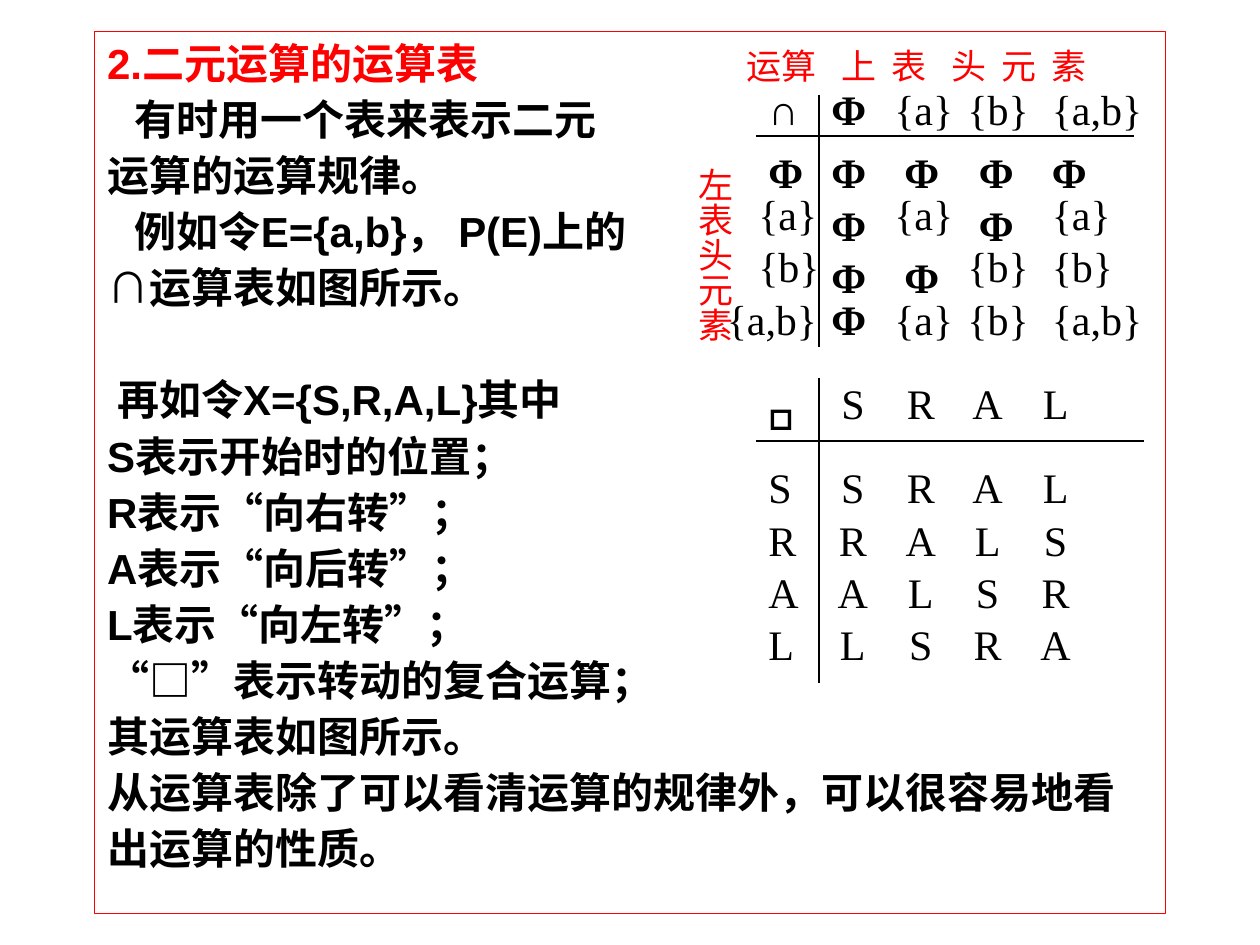
from pptx import Presentation
from pptx.dml.color import RGBColor
from pptx.enum.shapes import MSO_CONNECTOR
from pptx.enum.text import MSO_ANCHOR, MSO_AUTO_SIZE, PP_ALIGN
from pptx.oxml.ns import qn
from pptx.util import Inches, Pt
from lxml.etree import SubElement

COLORS = {"red": "FF0000", "ink": "000000"}
SERIF, SANS, CJK = "Times New Roman", "Arial", "Noto Sans CJK SC"


def write(para, text, size=24, font=SERIF, color="ink", bold=False):
    run = para.add_run()
    run.text = text
    run.font.size = Pt(size)
    run.font.name = font
    run.font.bold = bold
    run.font.color.rgb = RGBColor.from_string(COLORS[color])
    SubElement(run.font._element, qn("a:ea"), typeface=CJK)


class Page:
    def __init__(self, deck):
        self.slide = deck.slides.add_slide(deck.slide_layouts[1])
        title = self.slide.shapes.title._element
        title.getparent().remove(title)

    def body(self, x, y, w, h, lines):
        box = self.slide.placeholders[1]
        box.left, box.top, box.width, box.height = map(Inches, (x, y, w, h))
        box.line.color.rgb = RGBColor.from_string(COLORS["red"])
        box.line.width = Pt(0.75)
        frame = box.text_frame
        frame.auto_size = MSO_AUTO_SIZE.NONE
        frame.vertical_anchor = MSO_ANCHOR.TOP
        frame.margin_top = Inches(0.09)
        for i, (runs, indent, gap) in enumerate(lines):
            para = frame.paragraphs[0] if i == 0 else frame.add_paragraph()
            props = para._p.get_or_add_pPr()
            props.set("marL", "0")
            props.set("indent", str(Inches(indent)))
            SubElement(props, qn("a:buNone"))
            para.alignment = PP_ALIGN.LEFT
            para.line_spacing = Pt(26)
            para.space_before = Pt(gap)
            for text, style in runs:
                write(para, text, **{"font": SANS, "bold": True, **style})

    def text(self, x, y, w, h, text, stops=(), align="l", top=0.08,
             vert=False, **style):
        box = self.slide.shapes.add_textbox(*map(Inches, (x, y, w, h)))
        frame = box.text_frame
        frame.word_wrap = True
        frame.margin_top = Inches(top)
        para = frame.paragraphs[0]
        if vert:
            frame._txBody.bodyPr.set("vert", "eaVert")
            frame.margin_left = frame.margin_right = Inches(0.05)
            frame.margin_bottom = Inches(0.1)
        if stops:
            tabs = SubElement(para._p.get_or_add_pPr(), qn("a:tabLst"))
            for stop in stops:
                pos = Inches(round(stop - x - 0.1, 2))
                SubElement(tabs, qn("a:tab"), pos=str(pos), algn=align)
        write(para, text, **style)

    def rule(self, *ends):
        line = self.slide.shapes.add_connector(
            MSO_CONNECTOR.STRAIGHT, *map(Inches, ends))
        line.line.color.rgb = RGBColor.from_string(COLORS["ink"])
        line.line.width = Pt(0.75)
        SubElement(line._element.spPr, qn("a:effectLst"))


def plain(text, indent=0, gap=6):
    return [(text, {})], indent, gap


def turns(page):
    page.rule(6, 3.5, 9.08, 3.5)
    page.rule(6.5, 3, 6.5, 5.42)
    page.text(6, 3, 0.58, 0.5, "□", font="Calibri", bold=True)
    moves = "SRAL"
    cols = [6.77, 7.31, 7.84, 8.38]
    page.text(6.58, 2.92, 2.42, 0.5, "\t".join(moves), cols[1:], "ctr")
    for i, y in enumerate([3.58, 4, 4.42, 4.83]):
        row = moves[i] + moves[i:] + moves[:i]
        page.text(6, y, 2.83, 0.5, "\t".join(row), cols, "ctr")


def meets(page):
    page.rule(6, 1.08, 9, 1.08)
    page.rule(6.5, 0.75, 6.5, 2.75)
    page.text(6, 0.58, 0.5, 0.5, "∩")
    sets = ["", "a", "b", "ab"]
    # Header row and column come first; sets sit apart from the empty set
    phi_x, phi_y = [6, 6.5, 7.08, 7.67, 8.25], [0.58, 1.08, 1.5, 1.92, 2.25]
    set_x, set_y = [5.92, 6.5, 7, 7.58, 8.25], [0.58, 1, 1.42, 1.83, 2.25]
    for i, left in enumerate(["ab"] + sets):
        for j, head in enumerate(["ab"] + sets):
            if i == j == 0:
                continue
            both = [c for c in left if c in head]
            if not both:
                page.text(phi_x[j], phi_y[i], 0.58, 0.5, "Φ", bold=True)
                continue
            pair = len(both) == 2
            x = 5.67 if pair and j == 0 else set_x[j]
            page.text(x, set_y[i], 1 if pair else 0.83, 0.5,
                      "{" + ",".join(both) + "}")
    # Red labels of the header row and column
    label = {"size": 20, "color": "red"}
    page.text(6.58, 0.33, 2.33, 0.77, "上\t表\t头\t元\t素",
              [7.08, 7.55, 7.95, 8.35], top=0.02, **label)
    page.text(5.36, 1.23, 0.53, 1.75, "左表头元素", top=0.1, vert=True, **label)
    page.text(5.83, 0.33, 0.83, 0.44, "运算", top=0.02, **label)


def main():
    deck = Presentation()
    deck.slide_width, deck.slide_height = Inches(10), Inches(7.5)
    page = Page(deck)
    # Explanation
    page.body(0.75, 0.25, 8.5, 7, [
        ([("2.二元运算的运算表", {"color": "red"})], 0, 0),
        plain("有时用一个表来表示二元", 0.22),
        plain("运算的运算规律。"),
        plain("例如令E={a,b}， P(E)上的", 0.22),
        ([("∩", {"font": CJK, "bold": False}), ("运算表如图所示。", {})], 0, 6),
        plain("再如令X={S,R,A,L}其中", 0.08, 38),
        plain("S表示开始时的位置；"),
        plain("R表示“向右转”；"),
        plain("A表示“向后转”；"),
        plain("L表示“向左转”；"),
        ([("“", {}), ("□", {"font": "Calibri"}),
          ("”表示转动的复合运算；", {})], 0, 6),
        plain("其运算表如图所示。"),
        plain("从运算表除了可以看清运算的规律外，可以很容易地看"),
        plain("出运算的性质。"),
    ])
    # Operation tables
    turns(page)
    meets(page)
    deck.save("out.pptx")


if __name__ == "__main__":
    main()
